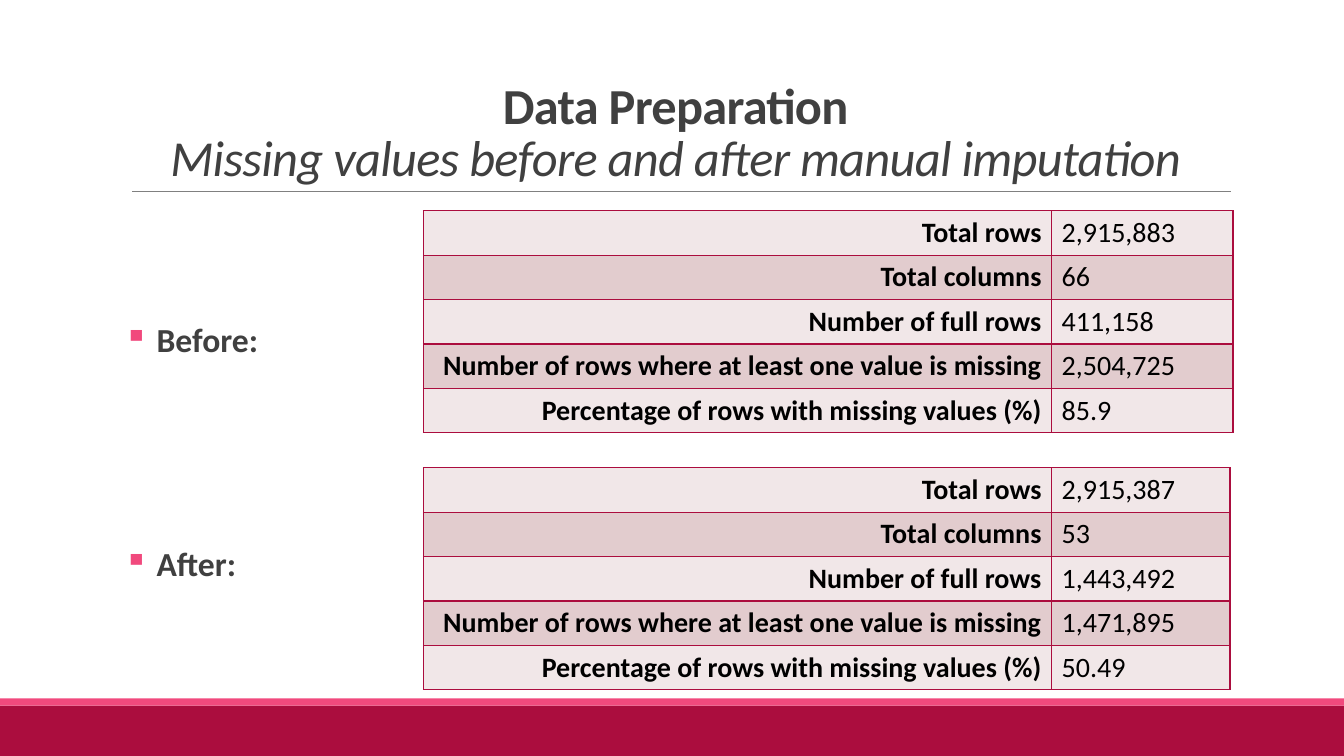
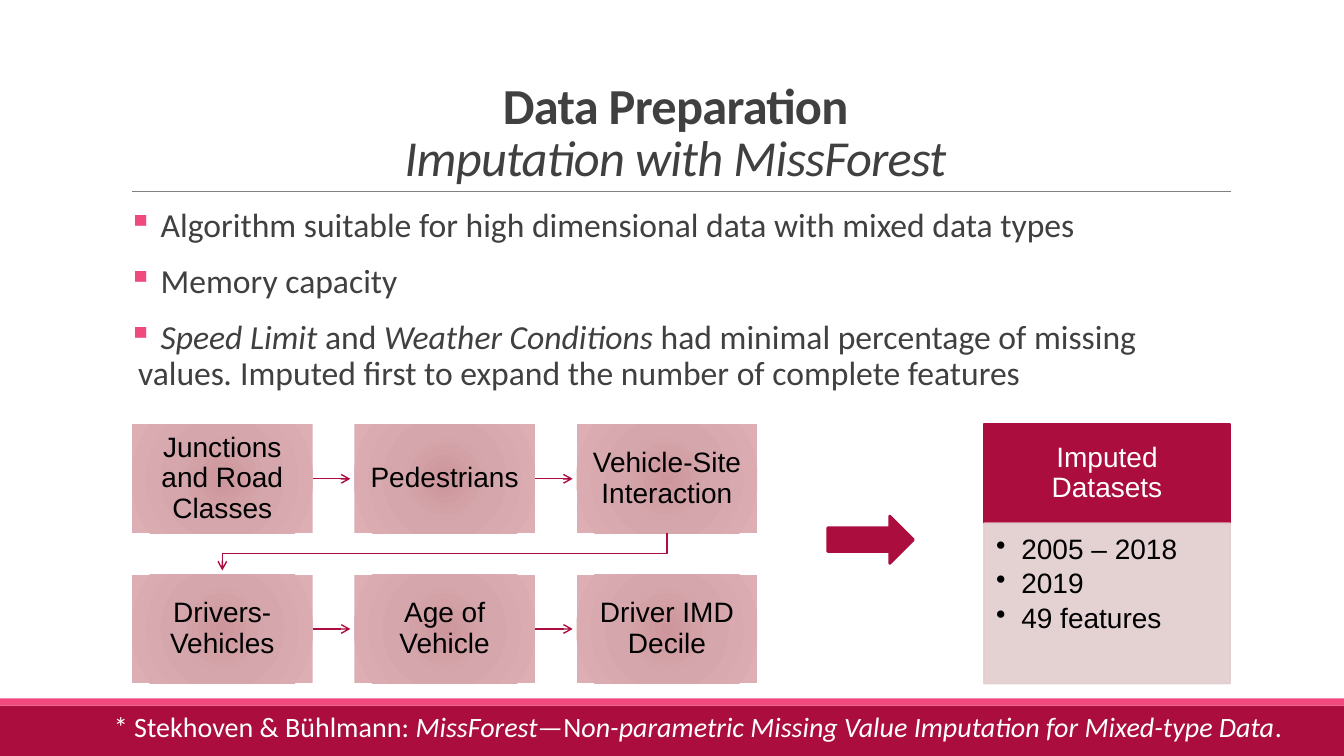
from lxml.etree import SubElement
from pptx import Presentation
from pptx.dml.color import RGBColor
from pptx.enum.shapes import MSO_CONNECTOR as LINK, MSO_SHAPE as SHAPE
from pptx.enum.text import MSO_ANCHOR as ANCHOR, MSO_AUTO_SIZE as FIT, PP_ALIGN as ALIGN
from pptx.oxml import parse_xml
from pptx.oxml.ns import nsdecls, qn
from pptx.util import Inches, Pt

WINE = RGBColor(0xAB, 0x0D, 0x3E)
PINK = RGBColor(0xF1, 0x49, 0x7D)
PALE = RGBColor(0xF1, 0xE7, 0xE8)
ROSE = RGBColor(0xE2, 0xCC, 0xCE)
DARK = RGBColor(0x40, 0x40, 0x40)
GREY = RGBColor(0x80, 0x80, 0x80)
BLACK = RGBColor(0, 0, 0)
WHITE = RGBColor(0xFF, 0xFF, 0xFF)
GLOW = ((0, "CD969C"), (45, "D5A7AC"), (100, "DDAEB3"))
BODY, CHART = "Calibri", "Arial"


def add(parent, tag, **attrs):
    return SubElement(parent, qn(tag), {k: str(v) for k, v in attrs.items()})


def paint(parent, color):
    add(add(parent, "a:solidFill"), "a:srgbClr", val=color)


def style(par, size, color, face=BODY, bold=None, space=0.9, align=None):
    par.line_spacing, par.alignment = space, align
    font = par.font
    font.size, font.name, font.bold = Pt(size), face, bold
    font.color.rgb = color


def write(par, parts):
    """Add runs; a part is a plain string or a (text, "b" or "i") pair."""
    for part in parts:
        text, mark = (part, "") if isinstance(part, str) else part
        run = par.add_run()
        run.text = text
        if mark:
            run.font.bold, run.font.italic = mark == "b", mark == "i"


def bullet(par, sign, color, indent):
    """Give a hanging bullet; call before style() to keep the XML order."""
    props = par._p.get_or_add_pPr()
    props.set("marL", str(Inches(indent)))
    props.set("indent", str(-Inches(indent)))
    add(add(props, "a:buClr"), "a:srgbClr", val=color)
    add(props, "a:buChar", char=sign)


def frame(shape, insets, anchor=ANCHOR.TOP):
    tf = shape.text_frame
    tf.word_wrap, tf.auto_size, tf.vertical_anchor = True, FIT.NONE, anchor
    left, top, right, low = map(Inches, insets)
    tf.margin_left, tf.margin_top = left, top
    tf.margin_right, tf.margin_bottom = right, low
    return tf


def lines(tf, count):
    return [tf.paragraphs[0]] + [tf.add_paragraph() for _ in range(count - 1)]


def arrow(shape):
    add(shape._element.spPr.find(qn("a:ln")), "a:tailEnd", type="arrow")


class Deck:
    """Holds the deck's style and the slide being drawn."""

    def __init__(self):
        self.prs = Presentation()
        self.prs.slide_width, self.prs.slide_height = Inches(13.33), Inches(7.5)
        self.slide = None

    def start(self, head, sub):
        self.slide = self.prs.slides.add_slide(self.prs.slide_layouts[5])
        self.block(0, 7, 13.33, 0.5, WINE)
        self.block(0, 6.93, 13.33, 0.07, PINK)
        self.line((1.31, 1.9), (12.21, 1.9), GREY, 0.5)
        title = self.slide.shapes.title
        title.left, title.top = Inches(1.2), Inches(0.31)
        title.width, title.height = Inches(11), Inches(1.59)
        par = frame(title, (0.1, 0.05, 0.1, 0.05), ANCHOR.BOTTOM).paragraphs[0]
        style(par, 36, DARK, space=0.85, align=ALIGN.CENTER)
        write(par, [(head, "b")])
        par.add_line_break()
        write(par, [(sub, "i")])
        for run in par.runs:
            run._r.get_or_add_rPr().set("spc", "-50")

    def block(self, x, y, w, h, fill, edge=0, kind=SHAPE.RECTANGLE):
        shape = self.slide.shapes.add_shape(kind, *map(Inches, (x, y, w, h)))
        shape.shadow.inherit = False
        shape.fill.solid()
        shape.fill.fore_color.rgb = fill
        if edge:
            shape.line.color.rgb, shape.line.width = fill, Pt(edge)
        else:
            shape.line.fill.background()
        return shape

    def line(self, start, end, color, width):
        link = self.slide.shapes.add_connector(
            LINK.STRAIGHT, *map(Inches, start + end))
        link.line.color.rgb, link.line.width = color, Pt(width)
        add(link._element.spPr, "a:effectLst")
        return link

    def bent(self, points):
        """Draw an open path that ends in an arrowhead."""
        first, *rest = [tuple(map(Inches, p)) for p in points]
        form = self.slide.shapes.build_freeform(*first)
        form.add_line_segments(rest, close=False)
        shape = form.convert_to_shape()
        shape.shadow.inherit = False
        shape.fill.background()
        shape.line.color.rgb, shape.line.width = WINE, Pt(1)
        arrow(shape)

    def text(self, x, y, w, h, anchor=ANCHOR.TOP):
        box = self.slide.shapes.add_textbox(*map(Inches, (x, y, w, h)))
        return frame(box, (0, 0.05, 0, 0.05), anchor)

    def points(self, x, y, w, h, items, bold=None, anchor=ANCHOR.TOP):
        tf = self.text(x, y, w, h, anchor)
        for par, parts in zip(lines(tf, len(items)), items):
            bullet(par, "▪", PINK, 0.1)
            style(par, 24, DARK, bold=bold)
            par.space_before, par.space_after = Pt(12), Pt(2)
            write(par, parts)

    def table(self, x, y, widths, high, rows):
        size = map(Inches, (x, y, sum(widths), high * len(rows)))
        grid = self.slide.shapes.add_table(len(rows), len(widths), *size).table
        grid.first_row = grid.horz_banding = False
        for col, wide in zip(grid.columns, widths):
            col.width = Inches(wide)
        for i, row in enumerate(rows):
            grid.rows[i].height = Inches(high)
            for j, value in enumerate(row):
                self.cell(grid.cell(i, j), value, ROSE if i % 2 else PALE, j == 0)

    def cell(self, cell, value, fill, label):
        props = cell._tc.get_or_add_tcPr()
        for side in "LRTB":
            paint(add(props, "a:ln" + side, w=Pt(0.96)), WINE)
        cell.fill.solid()
        cell.fill.fore_color.rgb = fill
        par = cell.text_frame.paragraphs[0]
        style(par, 20, BLACK, bold=label, space=1,
              align=ALIGN.RIGHT if label else ALIGN.LEFT)
        write(par, [value])

    def step(self, x, y, w, h, label):
        box = self.block(x, y, w, h, ROSE)
        props = box._element.spPr
        stops = "".join(f'<a:gs pos="{at * 1000}"><a:srgbClr val="{tone}"/></a:gs>'
                        for at, tone in GLOW)
        edges = " ".join(f'{side}="100000"' for side in "ltrb")
        glow = parse_xml(
            f'<a:gradFill {nsdecls("a")} rotWithShape="1"><a:gsLst>{stops}</a:gsLst>'
            f'<a:path path="circle"><a:fillToRect {edges}/></a:path></a:gradFill>')
        props.replace(props.find(qn("a:solidFill")), glow)
        self.label(box, label, BLACK, 0.16)
        return box

    def label(self, box, words, color, pad):
        par = frame(box, (0.16, pad, 0.16, pad), ANCHOR.MIDDLE).paragraphs[0]
        style(par, 20, color, CHART, align=ALIGN.CENTER)
        write(par, [words])

    def card(self, x, y, w, head, items):
        top, low = 0.98, 1.59
        self.label(self.block(x, y, w, top, WINE, 1.25), head, WHITE, 0.09)
        box = self.block(x, y + top, w, low, ROSE, 1.25)
        for tint in box._element.spPr.iter(qn("a:srgbClr")):
            add(tint, "a:alpha", val=90000)
        tf = frame(box, (0.12, 0.12, 0.16, 0.17))
        for par, item in zip(lines(tf, len(items)), items):
            bullet(par, "•", BLACK, 0.25)
            style(par, 20, BLACK, CHART, align=ALIGN.LEFT)
            par.space_after = Pt(3)
            write(par, [item])


def missing(deck):
    deck.start("Data Preparation", "Missing values before and after manual imputation")
    names = ("Total rows", "Total columns", "Number of full rows",
             "Number of rows where at least one value is missing",
             "Percentage of rows with missing values (%)")
    sets = (
        ("Before:", 3.14, 2.09, 1.8,
         ("2,915,883", "66", "411,158", "2,504,725", "85.9")),
        ("After:", 5.36, 4.64, 1.77,
         ("2,915,387", "53", "1,443,492", "1,471,895", "50.49")),
    )
    for name, mark, top, wide, values in sets:
        deck.points(1.23, mark, 2.8, 0.5, [[" " + name]], True, ANCHOR.MIDDLE)
        deck.table(4.2, top, (6.23, wide), 0.44, list(zip(names, values)))


def forest(deck):
    deck.start("Data Preparation", "Imputation with MissForest")
    deck.points(1.27, 2.02, 11, 1.95, [
        [" Algorithm suitable for high dimensional data with mixed data types"],
        [" Memory capacity"],
        [" ", ("Speed Limit", "i"), " and ", ("Weather Conditions", "i"),
         " had minimal percentage of missing values", (". ", "i"),
         "Imputed first to expand the number of complete features"],
    ])
    steps = (("Junctions and Road Classes", "Pedestrians", "Vehicle-Site Interaction"),
             ("Drivers-Vehicles", "Age of Vehicle", "Driver IMD Decile"))
    left, top, w, h = 1.31, 4.21, 1.79, 1.08
    across, down, gap = 2.205, 1.49, 0.04
    for i, row in enumerate(steps):
        y = top + i * down
        for j, name in enumerate(row):
            x = left + j * across
            box = deck.step(x, y, w, h, name)
            if j < len(row) - 1:
                mid = y + h / 2
                link = deck.line((x + w, mid), (x + across - gap, mid), WINE, 1)
                link.begin_connect(box, 3)
                arrow(link)
    first, last = left + w / 2, left + 2 * across + w / 2
    turn = top + h + 0.2
    deck.bent([(last, top + h), (last, turn), (first, turn), (first, top + down - gap)])
    deck.block(8.21, 5.12, 0.85, 0.47, WINE, 2, SHAPE.RIGHT_ARROW)
    deck.card(9.76, top, 2.44, "Imputed Datasets", ("2005 – 2018", "2019", "49 features"))
    par = deck.text(1.13, 7.03, 12.2, 0.47).paragraphs[0]
    style(par, 20, WHITE)
    write(par, ["* Stekhoven & Bühlmann: ", ("MissForest—", "i"), "N",
                ("on-parametric Missing Value Imputation for Mixed-type Data", "i"), "."])


def main():
    deck = Deck()
    missing(deck)
    forest(deck)
    deck.prs.save("out.pptx")


if __name__ == "__main__":
    main()
